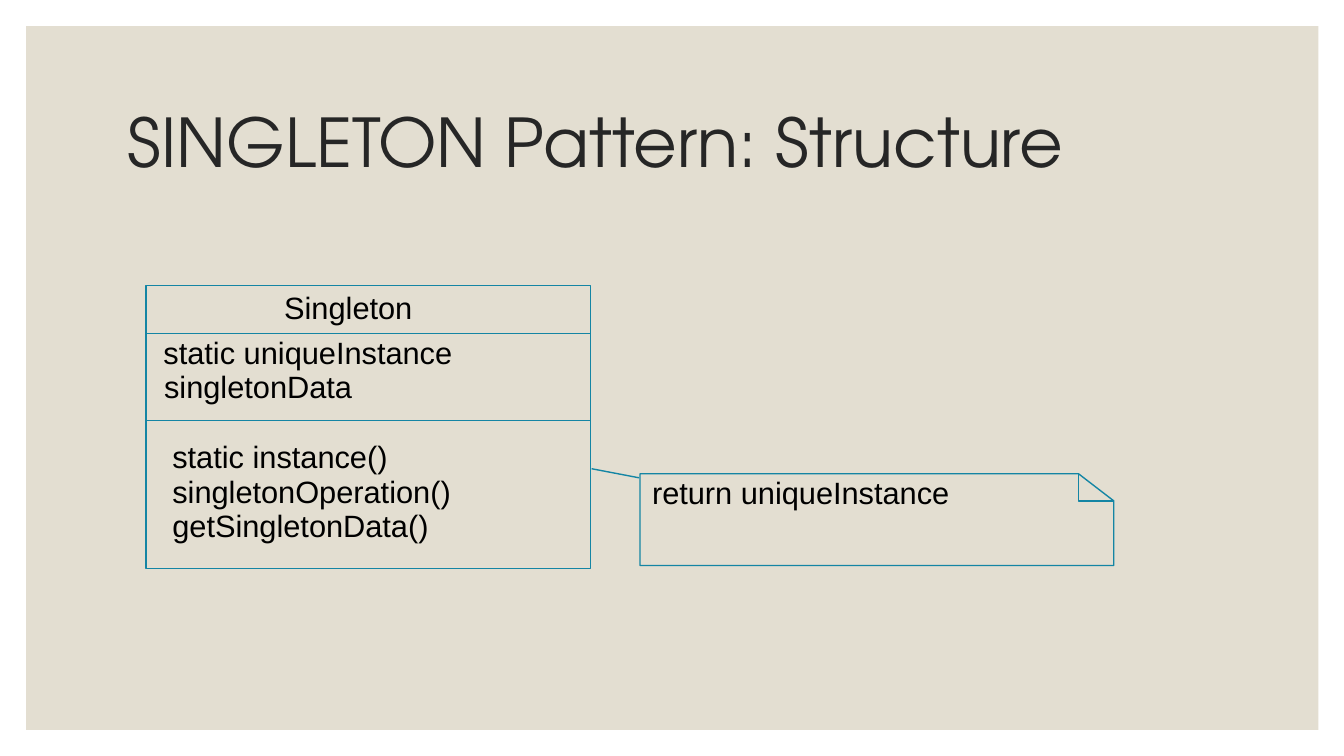
from dataclasses import dataclass

from lxml.etree import SubElement
from pptx import Presentation
from pptx.dml.color import RGBColor
from pptx.enum.shapes import MSO_CONNECTOR as Conn, MSO_SHAPE as Shp
from pptx.enum.text import MSO_ANCHOR as Anchor, MSO_AUTO_SIZE as Fit, PP_ALIGN as Align
from pptx.oxml.ns import qn
from pptx.slide import Slide
from pptx.text.text import _Run as Run
from pptx.util import Pt

Point = tuple[float, float]


@dataclass(frozen=True)
class Theme:
    panel: RGBColor = RGBColor(0xE3, 0xDE, 0xD1)
    line: RGBColor = RGBColor(0x14, 0x85, 0xA4)
    title: RGBColor = RGBColor(0x26, 0x26, 0x26)
    text: RGBColor = RGBColor(0, 0, 0)
    title_font: str = "TeX Gyre Adventor"
    text_font: str = "Arial"
    title_size: float = 48
    text_size: float = 22
    line_width: float = 1


@dataclass(frozen=True)
class Label:
    text: str
    x: float
    y: float
    w: float


@dataclass(frozen=True)
class Outline:
    points: list[Point]
    closed: bool


@dataclass(frozen=True)
class Segment:
    start: Point
    end: Point


THEME = Theme()
LINE_STEP = 24.6
LABEL_H = 23.8

# Class box: left, top, right, bottom and the two dividers
LEFT, TOP, RIGHT, BOTTOM = 104.4, 203.8, 421.9, 406.1
DIVIDERS = (238.3, 300.2)

# Note with a folded corner
NOTE_L, NOTE_T, NOTE_R, NOTE_B = 457.2, 338.4, 795.6, 403.9
FOLD_X, FOLD_Y = 770.4, 357.8

ATTRIBUTES_Y, OPERATIONS_Y = 241.4, 316.1
LABELS = [
    Label("Singleton", 203, 209.5, 92.9),
    Label("static uniqueInstance", 116.8, ATTRIBUTES_Y, 208.8),
    Label("singletonData", 117.2, ATTRIBUTES_Y + LINE_STEP, 136.1),
    Label("static instance()", 123.1, OPERATIONS_Y, 155.5),
    Label("singletonOperation()", 123.1, OPERATIONS_Y + LINE_STEP, 201.6),
    Label("getSingletonData()", 123.1, OPERATIONS_Y + 2 * LINE_STEP, 185.8),
    Label("return uniqueInstance", 465.8, 341.3, 215.3),
]
OUTLINES = [
    Outline([(NOTE_L, NOTE_T), (FOLD_X, NOTE_T), (NOTE_R, FOLD_Y),
             (NOTE_R, NOTE_B), (NOTE_L, NOTE_B)], True),
    Outline([(FOLD_X, NOTE_T), (FOLD_X, FOLD_Y), (NOTE_R, FOLD_Y)], False),
]
SEGMENTS = [Segment((LEFT, y), (RIGHT, y)) for y in DIVIDERS]
SEGMENTS.append(Segment((456.5, 341.3), (422.6, 334.8)))


def style_run(r: Run, font: str, size: float, color: RGBColor) -> None:
    r.font.name = font
    r.font.size = Pt(size)
    r.font.color.rgb = color


def style_line(shape) -> None:
    shape.line.color.rgb = THEME.line
    shape.line.width = Pt(THEME.line_width)


def add_title(s: Slide, text: str) -> None:
    title = s.shapes.title
    title.left, title.top, title.width, title.height = Pt(84), Pt(50.4), Pt(792), Pt(108)
    tf = title.text_frame
    tf.text = text
    tf.auto_size = Fit.NONE
    tf.vertical_anchor = Anchor.MIDDLE
    p = tf.paragraphs[0]
    p.alignment = Align.LEFT
    p.line_spacing = 0.9
    style_run(p.runs[0], THEME.title_font, THEME.title_size, THEME.title)


def add_box(s: Slide, left: float, top: float, right: float, bottom: float):
    sp = s.shapes.add_shape(Shp.RECTANGLE, Pt(left), Pt(top), Pt(right - left), Pt(bottom - top))
    sp.shadow.inherit = False
    return sp


def add_label(s: Slide, label: Label) -> None:
    sp = s.shapes.add_textbox(Pt(label.x), Pt(label.y), Pt(label.w), Pt(LABEL_H))
    tf = sp.text_frame
    tf.text = label.text
    tf.margin_left = tf.margin_top = tf.margin_right = tf.margin_bottom = 0
    tf.word_wrap = False
    tf.auto_size = Fit.SHAPE_TO_FIT_TEXT
    p = tf.paragraphs[0]
    p.line_spacing = 0.89
    style_run(p.runs[0], THEME.text_font, THEME.text_size, THEME.text)


def add_outline(s: Slide, outline: Outline) -> None:
    start, *rest = [(Pt(x), Pt(y)) for x, y in outline.points]
    builder = s.shapes.build_freeform(*start)
    builder.add_line_segments(rest, close=outline.closed)
    sp = builder.convert_to_shape()
    sp.shadow.inherit = False
    sp.fill.background()
    style_line(sp)


def add_segment(s: Slide, segment: Segment) -> None:
    ends = [Pt(v) for v in segment.start + segment.end]
    line = s.shapes.add_connector(Conn.STRAIGHT, *ends)
    style_line(line)
    SubElement(line.element.spPr, qn("a:effectLst"))


def main() -> None:
    prs = Presentation()
    prs.slide_width, prs.slide_height = Pt(960), Pt(540)
    s = prs.slides.add_slide(prs.slide_layouts[5])

    # Background panel, placed behind the title
    panel = add_box(s, 18.7, 18.7, 941.8, 521.3)
    panel.fill.solid()
    panel.fill.fore_color.rgb = THEME.panel
    panel.line.fill.background()
    s.shapes.title.element.addprevious(panel.element)
    add_title(s, "SINGLETON Pattern: Structure")

    # Class box
    class_box = add_box(s, LEFT, TOP, RIGHT, BOTTOM)
    class_box.fill.background()
    style_line(class_box)

    # Note, dividers and link, then the wording
    for outline in OUTLINES:
        add_outline(s, outline)
    for segment in SEGMENTS:
        add_segment(s, segment)
    for label in LABELS:
        add_label(s, label)

    prs.save("out.pptx")


if __name__ == "__main__":
    main()
